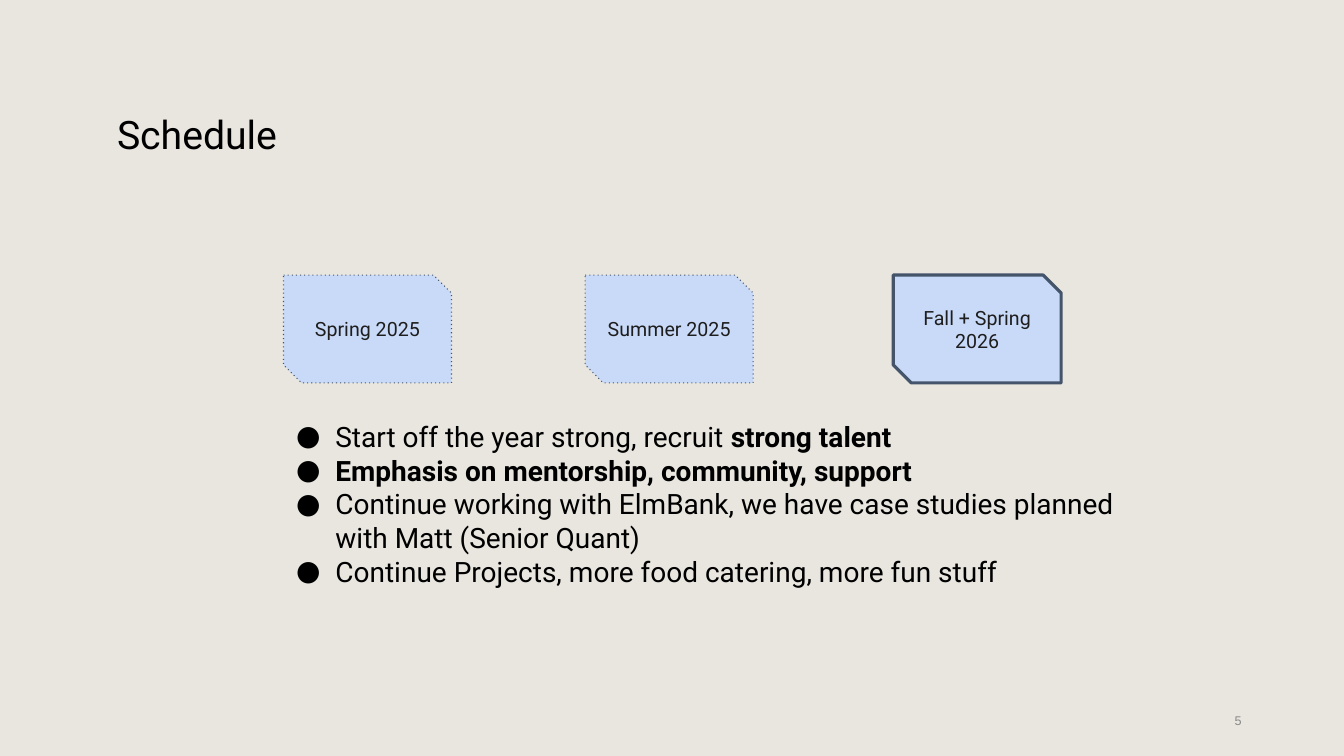
from pptx import Presentation
from pptx.dml.color import RGBColor as RGB
from pptx.enum.dml import MSO_LINE as Dash
from pptx.enum.shapes import MSO_SHAPE as Shape
from pptx.enum.text import MSO_ANCHOR as Anchor, PP_ALIGN as Align
from pptx.oxml import parse_xml
from pptx.oxml.ns import nsdecls, qn
from pptx.util import Pt

HUES = {"back": "E9E6DF", "card": "C9DAF8", "edge": "44546A",
        "ink": "000000", "label": "1E1E1E", "page": "888888"}

TITLE = "Schedule"
PAGE = "5"
# Term, left edge, is it the current one
TERMS = [("Spring 2025", 202.5, False),
         ("Summer 2025", 418, False),
         ("Fall + Spring 2026", 638, True)]
# Each point is a list of (text, bold) runs
POINTS = [
    [("Start off the year strong, recruit ", False), ("strong talent", True)],
    [("Emphasis on mentorship, community, support", True)],
    [("Continue working with ElmBank, we have case studies planned "
      "with Matt (Senior Quant)", False)],
    [("Continue Projects, more food catering, more fun stuff", False)],
]
CARD_TOP, CARD_W, CARD_H = 196.5, 120, 77
INDENT, HANG = 36, 28


def hue(name):
    return RGB.from_string(HUES[name])


def write(shape, paras, size, color="ink", font="Roboto", align=Align.LEFT,
          anchor=Anchor.TOP, pad=7.2, bullet=False):
    """Fill a shape with paragraphs, each a list of (text, bold) runs."""
    frame = shape.text_frame
    frame.word_wrap = True
    frame.vertical_anchor = anchor
    frame.margin_left = frame.margin_right = Pt(7.2)
    frame.margin_top = frame.margin_bottom = Pt(pad)
    for i, runs in enumerate(paras):
        para = frame.add_paragraph() if i else frame.paragraphs[0]
        para.alignment = align
        for text, bold in runs:
            run = para.add_run()
            run.text = text
            run.font.name = font
            run.font.size = Pt(size)
            run.font.bold = bold
            run.font.color.rgb = hue(color)
        if bullet:
            add_dot(para)


def add_dot(para):
    props = para._p.get_or_add_pPr()
    props.set("marL", str(Pt(INDENT)))
    props.set("indent", str(-Pt(HANG)))
    ns = nsdecls("a")
    for xml in (f'<a:buClr {ns}><a:srgbClr val="{HUES["ink"]}"/></a:buClr>',
                f'<a:buFont {ns} typeface="Roboto"/>',
                f'<a:buChar {ns} char="●"/>'):
        props.append(parse_xml(xml))


def add_box(slide, *area):
    return slide.shapes.add_textbox(*map(Pt, area))


def add_card(slide, term, left, current):
    area = map(Pt, (left, CARD_TOP, CARD_W, CARD_H))
    card = slide.shapes.add_shape(Shape.SNIP_2_DIAG_RECTANGLE, *area)
    card.shadow.inherit = False
    card.adjustments[0], card.adjustments[1] = 0, 0.167
    card.fill.solid()
    card.fill.fore_color.rgb = hue("card")
    card.line.color.rgb = hue("edge")
    card.line.width = Pt(2.25 if current else 0.75)
    if not current:
        card.line.dash_style = Dash.ROUND_DOT
        # The wide-spaced "dot" preset has no enum member
        card.element.find(".//" + qn("a:prstDash")).set("val", "dot")
    write(card, [[(term, False)]], 14, "label",
          align=Align.CENTER, anchor=Anchor.MIDDLE)


def main():
    deck = Presentation()
    deck.slide_width, deck.slide_height = Pt(960), Pt(540)
    slide = deck.slides.add_slide(deck.slide_layouts[6])
    slide.background.fill.solid()
    slide.background.fill.fore_color.rgb = hue("back")

    write(add_box(slide, 678, 500.5, 216, 28.75), [[(PAGE, False)]], 9, "page",
          font="Arial", align=Align.RIGHT, anchor=Anchor.MIDDLE, pad=3.6)
    write(add_box(slide, 76.5, 71.5, 409, 48), [[(TITLE, False)]], 28)
    for term in TERMS:
        add_card(slide, *term)
    write(add_box(slide, 196.5, 292.5, 634.5, 184), POINTS, 20, bullet=True)
    deck.save("out.pptx")


if __name__ == "__main__":
    main()
